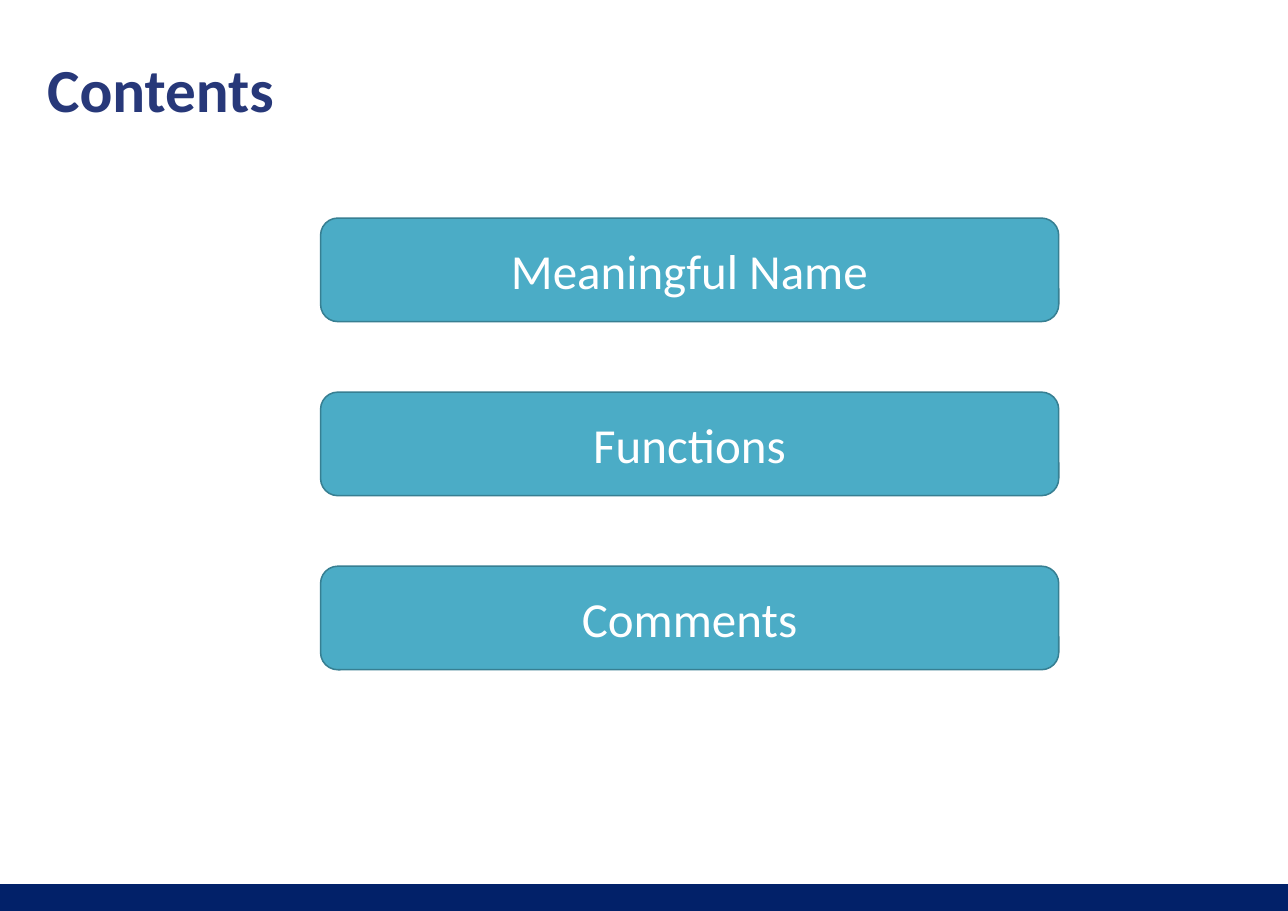
import pptx
import pptx.util
import pptx.dml.color
import pptx.enum.shapes
import pptx.enum.text

Inches = pptx.util.Inches
Pt = pptx.util.Pt
RGBColor = pptx.dml.color.RGBColor
Shape = pptx.enum.shapes.MSO_SHAPE
Align = pptx.enum.text.PP_ALIGN
Anchor = pptx.enum.text.MSO_ANCHOR

NAVY = RGBColor(0x02, 0x21, 0x69)
INDIGO = RGBColor(0x27, 0x38, 0x79)
TEAL = RGBColor(0x4B, 0xAC, 0xC6)
DARK_TEAL = RGBColor(0x37, 0x7F, 0x92)
WHITE = RGBColor(0xFF, 0xFF, 0xFF)

PAGE_WIDTH, PAGE_HEIGHT = 11.69, 8.27
FOOTER_HEIGHT = 0.24
TOPICS = ["Meaningful Name", "Functions", "Comments"]
TOPIC_LEFT, TOPIC_TOP, TOPIC_STEP = 2.91, 1.98, 1.58
TOPIC_WIDTH, TOPIC_HEIGHT = 6.7, 0.94


class ContentsPage:
    font = "Calibri"

    def __init__(self, page):
        self.page = page

    def add_text(self, box, text, size, color, anchor, align, bold=False):
        frame = box.text_frame
        frame.word_wrap = True
        frame.vertical_anchor = anchor
        para = frame.paragraphs[0]
        para.alignment = align
        span = para.add_run()
        span.text = text
        span.font.name = self.font
        span.font.size = Pt(size)
        span.font.bold = bold
        span.font.color.rgb = color
        return para

    def panel(self, kind, left, top, width, height, fill, line, line_width):
        box = self.page.shapes.add_shape(
            kind, Inches(left), Inches(top), Inches(width), Inches(height))
        box.shadow.inherit = False
        box.fill.solid()
        box.fill.fore_color.rgb = fill
        box.line.color.rgb = line
        box.line.width = Pt(line_width)
        return box

    def footer(self):
        self.panel(Shape.RECTANGLE, 0, PAGE_HEIGHT - FOOTER_HEIGHT,
                   PAGE_WIDTH, FOOTER_HEIGHT, NAVY, NAVY, 0.75)

    def title(self, text):
        box = self.page.shapes.add_textbox(
            Inches(0.33), Inches(0.25), Inches(11.14), Inches(0.94))
        para = self.add_text(box, text, 40, INDIGO, Anchor.BOTTOM, Align.LEFT, bold=True)
        para.line_spacing = 0.9

    def topic(self, text, top):
        box = self.panel(Shape.ROUNDED_RECTANGLE, TOPIC_LEFT, top,
                         TOPIC_WIDTH, TOPIC_HEIGHT, TEAL, DARK_TEAL, 1)
        self.add_text(box, text, 32, WHITE, Anchor.MIDDLE, Align.CENTER)


def main():
    deck = pptx.Presentation()
    deck.slide_width = Inches(PAGE_WIDTH)
    deck.slide_height = Inches(PAGE_HEIGHT)
    contents = ContentsPage(deck.slides.add_slide(deck.slide_layouts[6]))
    contents.footer()
    contents.title("Contents")
    for index, topic in enumerate(TOPICS):
        contents.topic(topic, TOPIC_TOP + index * TOPIC_STEP)
    deck.save("out.pptx")


if __name__ == "__main__":
    main()
